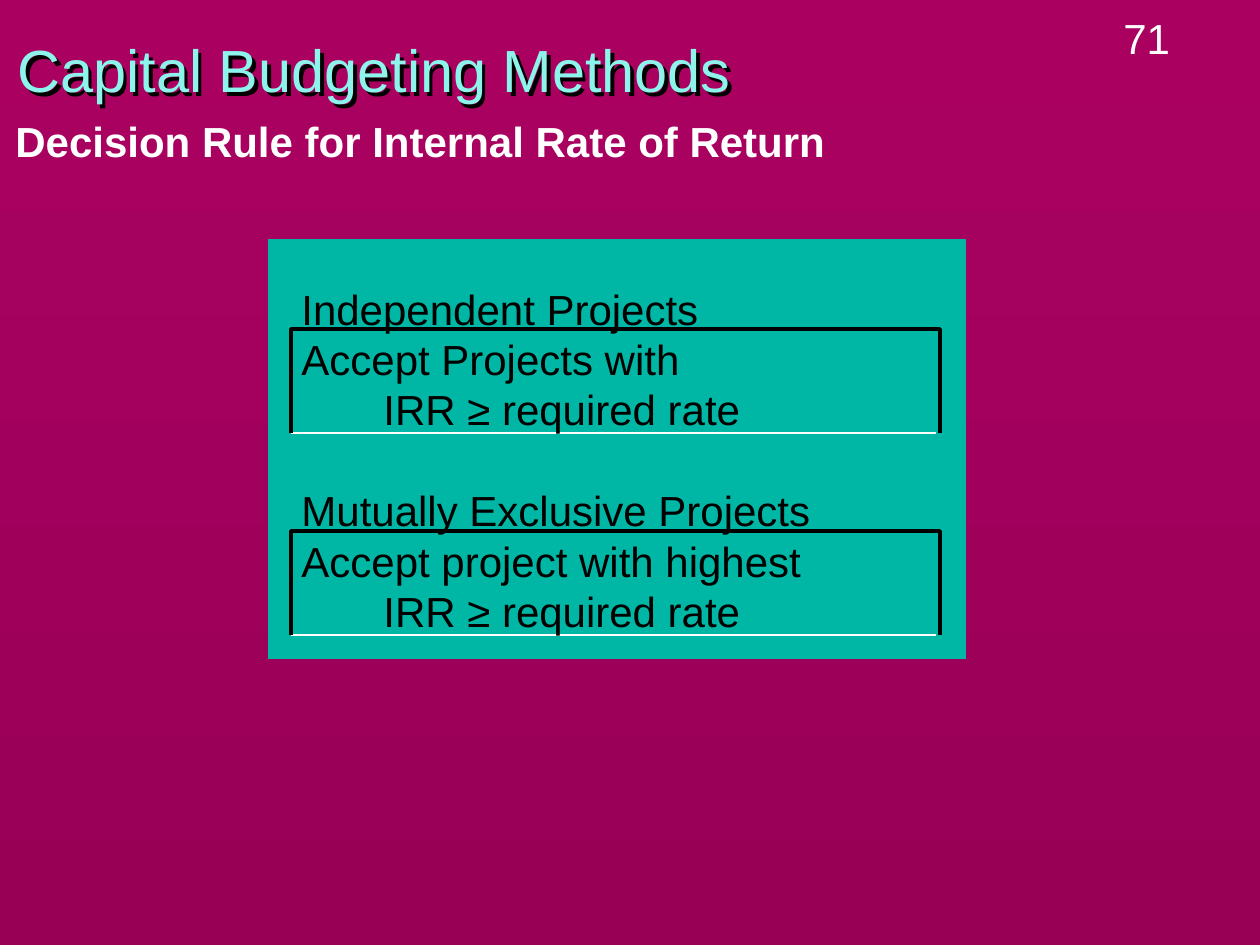
from lxml import etree
from pptx import Presentation
from pptx import util as u
from pptx.dml.color import RGBColor
from pptx.enum import shapes, text
from pptx.oxml.ns import qn

COLORS = {
    "background top": "AA0161", "background bottom": "980056",
    "title": "8CF4EA", "panel": "00B7A5", "white": "FFFFFF", "black": "000000",
}
FONT = "Arial"
PAGE_NUMBER = "71"
TITLE = "Capital Budgeting Methods"
SUBTITLE = "Decision Rule for Internal Rate of Return"
RULES = [
    ("Independent Projects", "Accept Projects with", "IRR ≥ required rate"),
    ("Mutually Exclusive Projects", "Accept project with highest", "IRR ≥ required rate"),
]

PANEL = (268, 239, 698, 420)
RULE_TEXT = (289, 277, 651, 416)
BRACKET_LEFT, BRACKET_RIGHT, LINE_RIGHT = 291, 940, 936
BRACKET_TOP, BRACKET_HEIGHT, RULE_PITCH = 329, 104, 202
RATE_INDENT = 82
RULE_GAP = 28.8


def px(length):
    return u.Emu(round(length * 914400 / 126))


def color(name):
    return RGBColor.from_string(COLORS[name])


def write(paragraph, words, size=24, fill="white", bold=False, indent=0, before=0):
    paragraph.alignment = text.PP_ALIGN.LEFT
    paragraph.space_before = u.Pt(before)
    if indent:
        properties = paragraph._p.get_or_add_pPr()
        properties.set("marL", str(px(indent)))
        properties.set("indent", "0")
    run = paragraph.add_run()
    run.text = words
    run.font.name = FONT
    run.font.size = u.Pt(size)
    run.font.bold = bold
    run.font.color.rgb = color(fill)


def add_box(slide, left, top, width, height):
    frame = slide.shapes.add_textbox(px(left), px(top), px(width), px(height)).text_frame
    frame.word_wrap = True
    return frame


def add_text_shadow(shape):
    """Give an unfilled shape a shadow, which then falls from its text."""
    shape.fill.background()
    effects = etree.SubElement(shape._element.spPr, qn("a:effectLst"))
    shadow = etree.SubElement(effects, qn("a:outerShdw"), dist="35921", dir="2700000")
    etree.SubElement(shadow, qn("a:srgbClr"), val=COLORS["black"])


def add_bracket(slide, top):
    """Draw a black frame open at the bottom, closed by a thin white line."""
    bottom = top + BRACKET_HEIGHT
    line = slide.shapes.add_connector(
        shapes.MSO_CONNECTOR.STRAIGHT,
        px(BRACKET_LEFT), px(bottom), px(LINE_RIGHT), px(bottom))
    line.line.color.rgb = color("white")
    line.line.width = u.Pt(1)
    etree.SubElement(line._element.spPr, qn("a:effectLst"))

    builder = slide.shapes.build_freeform(px(BRACKET_LEFT), px(bottom))
    builder.add_line_segments(
        [(px(BRACKET_LEFT), px(top)), (px(BRACKET_RIGHT), px(top)),
         (px(BRACKET_RIGHT), px(bottom))], close=False)
    bracket = builder.convert_to_shape()
    bracket.shadow.inherit = False
    bracket.fill.background()
    bracket.line.color.rgb = color("black")
    bracket.line.width = u.Pt(2)


def main():
    presentation = Presentation()
    presentation.slide_width, presentation.slide_height = px(1260), px(945)
    slide = presentation.slides.add_slide(presentation.slide_layouts[5])

    background = slide.background.fill
    background.gradient()
    background.gradient_angle = 270
    for stop, name, position in zip(
            background.gradient_stops, ("background top", "background bottom"), (0, 1)):
        stop.color.rgb = color(name)
        stop.position = position

    write(add_box(slide, 1111, 6, 140, 63).paragraphs[0], PAGE_NUMBER)

    title = slide.shapes.title
    title.left, title.top, title.width, title.height = px(5), px(11), px(1063), px(116)
    title.text_frame.vertical_anchor = text.MSO_ANCHOR.MIDDLE
    write(title.text_frame.paragraphs[0], TITLE, size=34, fill="title")
    add_text_shadow(title)

    write(add_box(slide, 3, 109, 860, 63).paragraphs[0], SUBTITLE, bold=True)

    panel = slide.shapes.add_shape(shapes.MSO_SHAPE.RECTANGLE, *map(px, PANEL))
    panel.shadow.inherit = False
    panel.fill.solid()
    panel.fill.fore_color.rgb = color("panel")
    panel.line.fill.background()

    for index in range(len(RULES)):
        add_bracket(slide, BRACKET_TOP + index * RULE_PITCH)

    frame = add_box(slide, *RULE_TEXT)
    for index, (heading, action, rate) in enumerate(RULES):
        first = frame.add_paragraph() if index else frame.paragraphs[0]
        write(first, heading, fill="black", before=RULE_GAP if index else 0)
        write(frame.add_paragraph(), action, fill="black")
        write(frame.add_paragraph(), rate, fill="black", indent=RATE_INDENT)

    presentation.save("out.pptx")


if __name__ == "__main__":
    main()
